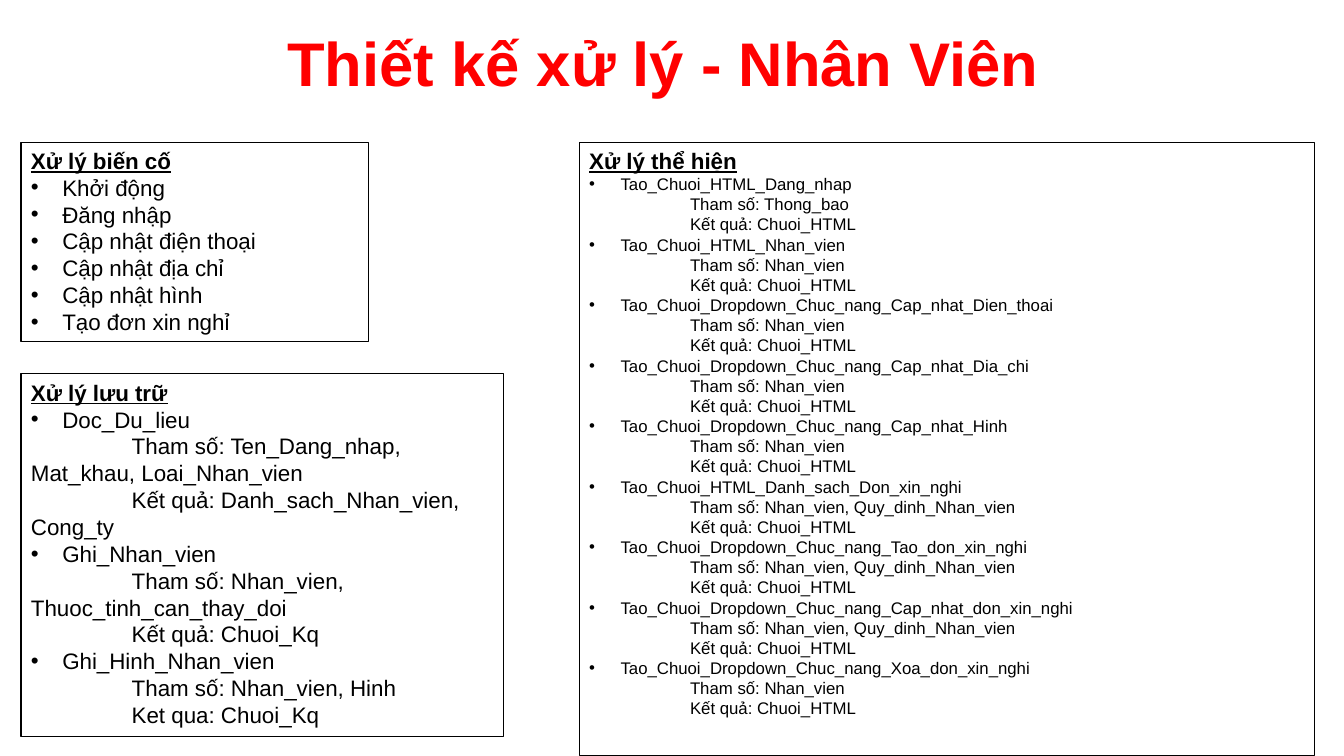
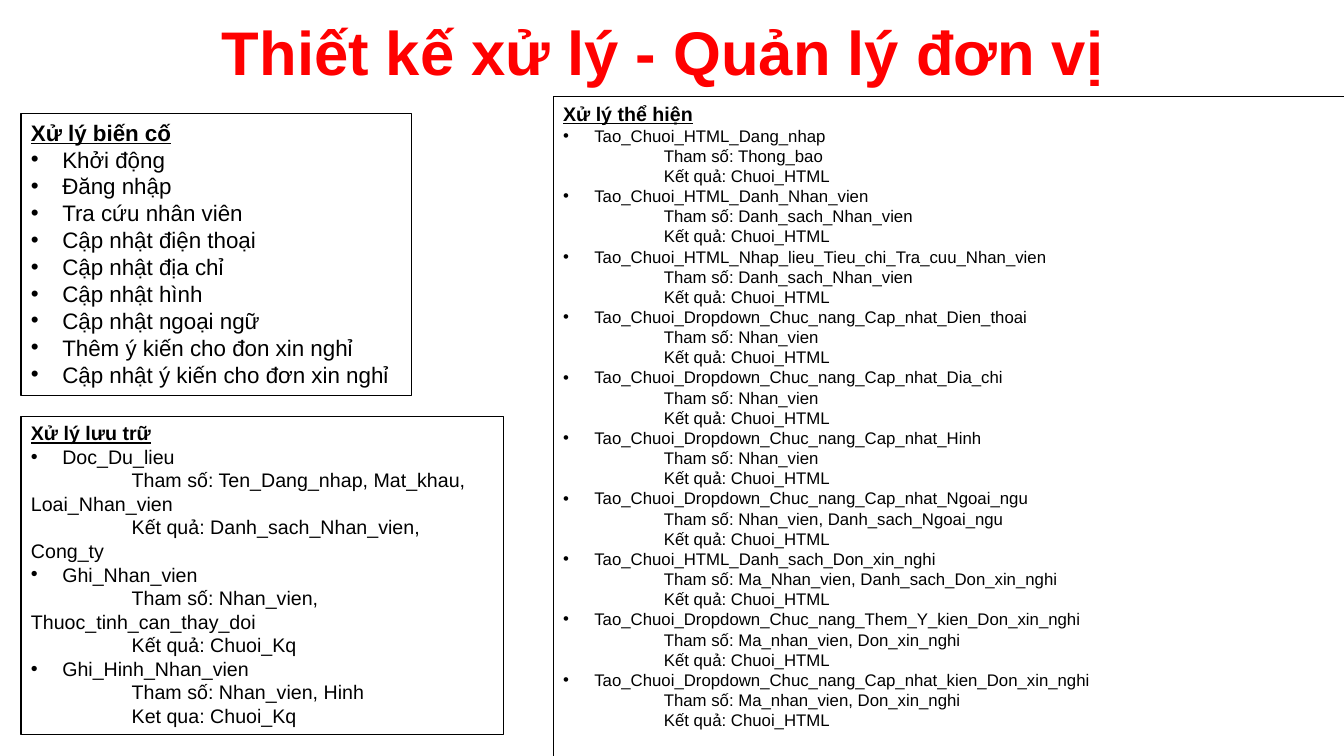
import pptx
import pptx.dml.color
import pptx.enum.shapes
import pptx.enum.text
import pptx.oxml.ns
import pptx.util
from dataclasses import dataclass
from lxml import etree
from typing import Any

Cm = pptx.util.Cm
Pt = pptx.util.Pt
ALIGN = pptx.enum.text.PP_ALIGN
ANCHOR = pptx.enum.text.MSO_ANCHOR

FONT = "Arial"
BLACK = "000000"
RED = "FF0000"
BULLET_INDENT = Cm(0.79)
DETAIL_INDENT = Cm(2.54)
LEFT = 0.53


@dataclass(frozen=True)
class Entry:
    name: str
    details: tuple[str, ...] = ()


@dataclass(frozen=True)
class Panel:
    heading: str
    left: float
    top: float
    width: float
    height: float
    heading_size: int
    body_size: int
    entries: list[Entry]


@dataclass(frozen=True)
class Page:
    title: str
    title_top: float
    panels: list[Panel]


def routine(name: str, params: str, result: str = "Chuoi_HTML",
            label: str = "Kết quả") -> Entry:
    return Entry(name, (f"Tham số: {params}", f"{label}: {result}"))


def dropdown(action: str, params: str = "Nhan_vien") -> Entry:
    return routine(f"Tao_Chuoi_Dropdown_Chuc_nang_{action}", params)


def html(content: str, params: str) -> Entry:
    return routine(f"Tao_Chuoi_HTML_{content}", params)


def rgb(color: str) -> pptx.dml.color.RGBColor:
    return pptx.dml.color.RGBColor.from_string(color)


def apply(obj: Any, values: dict[str, Any]) -> None:
    for name, value in values.items():
        setattr(obj, name, value)


def add_run(p: Any, text: str, size: int, color: str = BLACK,
            bold: bool = False, underline: bool = False) -> None:
    r = p.add_run()
    r.text = text
    apply(r.font, {"name": FONT, "size": Pt(size), "bold": bold,
                   "underline": underline})
    r.font.color.rgb = rgb(color)


def set_indent(p: Any, margin: int, first: int, bullet: str = "") -> None:
    pPr = p._p.get_or_add_pPr()
    pPr.set("marL", str(margin))
    pPr.set("indent", str(first))
    if bullet:
        qn = pptx.oxml.ns.qn
        etree.SubElement(pPr, qn("a:buFont")).set("typeface", FONT)
        etree.SubElement(pPr, qn("a:buChar")).set("char", bullet)


def add_line(tf: Any, text: str, size: int) -> Any:
    p = tf.add_paragraph()
    p.alignment = ALIGN.LEFT
    add_run(p, text, size)
    return p


def add_title(s: Any, text: str, top: float) -> None:
    sp = s.shapes.title
    apply(sp, {"left": Cm(1.7), "top": Cm(top),
               "width": Cm(30.48), "height": Cm(3.18)})
    tf = sp.text_frame
    apply(tf, {"vertical_anchor": ANCHOR.MIDDLE, "word_wrap": True,
               "auto_size": pptx.enum.text.MSO_AUTO_SIZE.NONE})
    p = tf.paragraphs[0]
    p.alignment = ALIGN.CENTER
    add_run(p, text, 44, RED, bold=True)


def add_panel(s: Any, panel: Panel) -> None:
    sp = s.shapes.add_shape(
        pptx.enum.shapes.MSO_SHAPE.RECTANGLE, Cm(panel.left), Cm(panel.top),
        Cm(panel.width), Cm(panel.height))
    sp.shadow.inherit = False
    sp.fill.background()
    sp.line.color.rgb = rgb(BLACK)
    sp.line.width = Pt(0.75)
    tf = sp.text_frame
    apply(tf, {"vertical_anchor": ANCHOR.TOP, "word_wrap": True})
    p = tf.paragraphs[0]
    p.alignment = ALIGN.LEFT
    add_run(p, panel.heading, panel.heading_size, bold=True, underline=True)
    for entry in panel.entries:
        p = add_line(tf, entry.name, panel.body_size)
        set_indent(p, BULLET_INDENT, -BULLET_INDENT, "•")
        for detail in entry.details:
            p = add_line(tf, detail, panel.body_size)
            set_indent(p, 0, DETAIL_INDENT)


def events_panel(top: float, width: float, height: float,
                 names: list[str]) -> Panel:
    return Panel("Xử lý biến cố", LEFT, top, width, height, 16, 16,
                 [Entry(name) for name in names])


def storage_panel(top: float, height: float, size: int) -> Panel:
    return Panel("Xử lý lưu trữ", LEFT, top, 12.17, height, size, size, STORAGE)


def display_panel(left: float, top: float, width: float, height: float,
                  heading_size: int, entries: list[Entry]) -> Panel:
    return Panel("Xử lý thể hiện", left, top, width, height,
                 heading_size, 12, entries)


STORAGE = [
    routine("Doc_Du_lieu", "Ten_Dang_nhap, Mat_khau, Loai_Nhan_vien",
            "Danh_sach_Nhan_vien, Cong_ty"),
    routine("Ghi_Nhan_vien", "Nhan_vien, Thuoc_tinh_can_thay_doi", "Chuoi_Kq"),
    routine("Ghi_Hinh_Nhan_vien", "Nhan_vien, Hinh", "Chuoi_Kq", "Ket qua"),
]
LOGIN = html("Dang_nhap", "Thong_bao")
UPDATES = [dropdown(f"Cap_nhat_{field}")
           for field in ("Dien_thoai", "Dia_chi", "Hinh")]
SIGN_IN_EVENTS = ["Khởi động", "Đăng nhập"]
UPDATE_EVENTS = ["Cập nhật điện thoại", "Cập nhật địa chỉ", "Cập nhật hình"]
RULES = "Nhan_vien, Quy_dinh_Nhan_vien"
REQUEST = "Ma_nhan_vien, Don_xin_nghi"

PAGES = [
    Page("Thiết kế xử lý - Nhân Viên ", -0.03, [
        events_panel(3.58, 8.76, 5.03,
                     SIGN_IN_EVENTS + UPDATE_EVENTS + ["Tạo đơn xin nghỉ"]),
        display_panel(14.6, 3.58, 18.52, 15.47, 16, [
            LOGIN,
            html("Nhan_vien", "Nhan_vien"),
            *UPDATES,
            html("Danh_sach_Don_xin_nghi", RULES),
            dropdown("Tao_don_xin_nghi", RULES),
            dropdown("Cap_nhat_don_xin_nghi", RULES),
            dropdown("Xoa_don_xin_nghi"),
        ]),
        storage_panel(9.42, 9.14, 16),
    ]),
    Page("Thiết kế xử lý - Quản lý đơn vị ", -0.3, [
        display_panel(13.94, 2.44, 21.49, 16.84, 14, [
            LOGIN,
            html("Danh_Nhan_vien", "Danh_sach_Nhan_vien"),
            html("Nhap_lieu_Tieu_chi_Tra_cuu_Nhan_vien", "Danh_sach_Nhan_vien"),
            *UPDATES,
            dropdown("Cap_nhat_Ngoai_ngu", "Nhan_vien, Danh_sach_Ngoai_ngu"),
            html("Danh_sach_Don_xin_nghi", "Ma_Nhan_vien, Danh_sach_Don_xin_nghi"),
            dropdown("Them_Y_kien_Don_xin_nghi", REQUEST),
            dropdown("Cap_nhat_kien_Don_xin_nghi", REQUEST),
        ]),
        events_panel(2.87, 9.83, 7.09,
                     SIGN_IN_EVENTS + ["Tra cứu nhân viên"] + UPDATE_EVENTS + [
                         "Cập nhật ngoại ngữ",
                         "Thêm ý kiến cho đon xin nghỉ",
                         "Cập nhật ý kiến cho đơn xin nghỉ",
                     ]),
        storage_panel(10.49, 8.03, 14),
    ]),
]

prs = pptx.Presentation()
apply(prs, {"slide_width": Cm(33.87), "slide_height": Cm(19.05)})
title_only = prs.slide_layouts.get_by_name("Title Only")
for page in PAGES:
    s = prs.slides.add_slide(title_only)
    add_title(s, page.title, page.title_top)
    for panel in page.panels:
        add_panel(s, panel)
prs.save("out.pptx")
